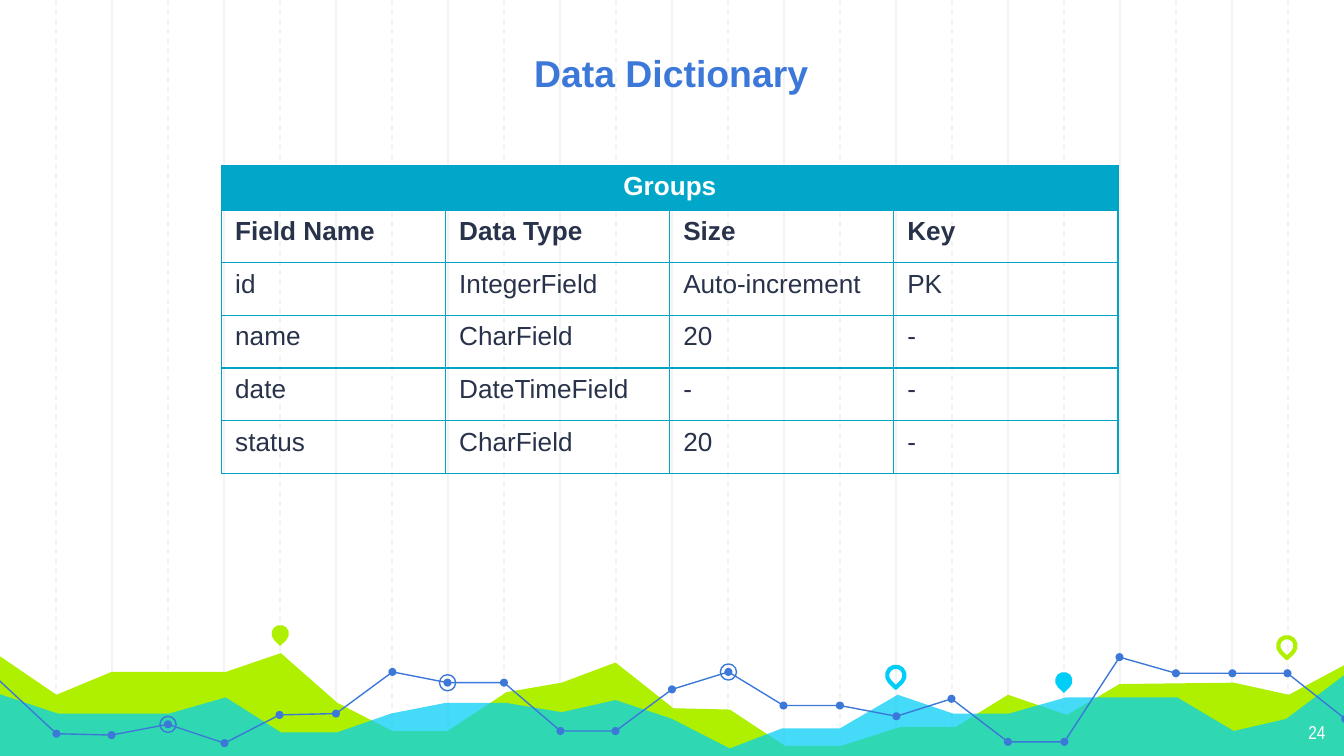
from lxml import etree
from pptx import Presentation, util as u
from pptx.dml.color import RGBColor
from pptx.enum import dml, shapes, text
from pptx.oxml import ns

COLORS = {"grid": "F3F3F3", "lime": "AFF000", "cyan": "00CEF6", "blue": "3C78D8",
          "border": "00A3C3", "header": "00A7C8", "ink": "28324A", "white": "FFFFFF"}
WIDTH, HEIGHT = 10, 5.625
GRID_STEPS, GRID_BOTTOM = 24, 5.64

TITLE = "Data Dictionary"
PAGE_NUMBER = "24"
TABLE_TITLE = "Groups"
FIELDS = [
    ("Field Name", "Data Type", "Size", "Key"),
    ("id", "IntegerField", "Auto-increment", "PK"),
    ("name", "CharField", "20", "-"),
    ("date", "DateTimeField", "-", "-"),
    ("status", "CharField", "20", "-"),
]
TABLE_LEFT, TABLE_TOP, COLUMN_WIDTH = 1.65, 1.23, 1.667
HEADER_HEIGHT, ROW_HEIGHT = 0.32, 0.392

LIME_AREA = [
    (-0.02, 4.87), (0.42, 5.17), (0.83, 5), (1.68, 5), (2.09, 4.86), (2.51, 5.23),
    (2.92, 5.44), (3.33, 5.44), (3.77, 5.15), (4.18, 5.08), (4.58, 4.93), (5.01, 5.27),
    (5.43, 5.28), (5.84, 5.55), (6.26, 5.55), (6.7, 5.41), (7.11, 5.41), (7.5, 5.17),
    (7.94, 5.32), (8.33, 5.09), (9.18, 5.08), (9.59, 5.17), (10.02, 4.94),
    (10.01, 5.64), (-0.03, 5.64)]
CYAN_AREA = [
    (-0.02, 5.16), (0.43, 5.31), (1.26, 5.31), (1.68, 5.19), (2.09, 5.45), (2.51, 5.45),
    (2.91, 5.31), (3.32, 5.23), (3.76, 5.23), (4.18, 5.3), (4.58, 5.21), (5, 5.35),
    (5.43, 5.57), (5.82, 5.42), (6.25, 5.42), (6.68, 5.17), (7.09, 5.31), (7.51, 5.31),
    (7.93, 5.19), (8.76, 5.19), (9.18, 5.44), (9.57, 5.35), (10.02, 5.01),
    (10.02, 5.64), (-0.03, 5.64)]
TREND = [
    (-0.01, 5.06), (0.42, 5.46), (0.83, 5.47), (1.25, 5.39), (1.67, 5.53), (2.08, 5.32),
    (2.5, 5.31), (2.92, 5), (3.33, 5.08), (3.75, 5.08), (4.17, 5.44), (4.58, 5.44),
    (5, 5.13), (5.42, 5), (5.83, 5.25), (6.25, 5.25), (6.67, 5.33), (7.08, 5.2),
    (7.5, 5.52), (7.92, 5.52), (8.33, 4.89), (8.75, 5.01), (9.17, 5.01), (9.58, 5.01),
    (10.01, 5.35)]
TREND_BREAKS = [0, 11, 20, 24]
RINGED_POINTS = [3, 8, 13]
DOT_SIZE, RING_SIZE, PIN_SIZE = 0.06, 0.12, 0.13
PINS = [(2.02, 4.65, "lime", True), (6.6, 4.96, "cyan", False),
        (7.85, 5, "cyan", True), (9.51, 4.74, "lime", False)]


def cm(inches):
    return u.Cm(inches * 2.54)


def rgb(name):
    return RGBColor.from_string(COLORS[name])


def paint(shape, fill=None, line=None, weight=0.75):
    shape.shadow.inherit = False
    if fill:
        shape.fill.solid()
        shape.fill.fore_color.rgb = rgb(fill)
    else:
        shape.fill.background()
    if line:
        shape.line.color.rgb = rgb(line)
        shape.line.width = u.Pt(weight)
    else:
        shape.line.fill.background()
    return shape


def add_grid_line(slide, step):
    x = cm(WIDTH * step / GRID_STEPS)
    line = slide.shapes.add_connector(shapes.MSO_CONNECTOR.STRAIGHT, x, 0, x, cm(GRID_BOTTOM))
    line.line.color.rgb = rgb("grid")
    line.line.width = u.Pt(0.75)
    if step % 2:
        line.line.dash_style = dml.MSO_LINE.DASH
    etree.SubElement(line._element.spPr, ns.qn("a:effectLst"))


def add_path(slide, points, close):
    start, *rest = [(cm(x), cm(y)) for x, y in points]
    builder = slide.shapes.build_freeform(*start)
    builder.add_line_segments(rest, close=close)
    return builder.convert_to_shape()


def add_circle(slide, center, size):
    left, top = (cm(value - size / 2) for value in center)
    return slide.shapes.add_shape(shapes.MSO_SHAPE.OVAL, left, top, cm(size), cm(size))


def add_pin(slide, left, top, color, solid):
    pin = slide.shapes.add_shape(shapes.MSO_SHAPE.TEAR, cm(left), cm(top), cm(PIN_SIZE), cm(PIN_SIZE))
    pin.rotation = 135
    if solid:
        paint(pin, fill=color)
    else:
        paint(pin, line=color, weight=2.25)


def format_text(frame, size, color, font="Arial", bold=False, align=text.PP_ALIGN.LEFT):
    for paragraph in frame.paragraphs:
        paragraph.alignment = align
        for run in paragraph.runs:
            run.font.size = u.Pt(size)
            run.font.name = font
            run.font.bold = bold
            run.font.color.rgb = rgb(color)


def add_text(slide, box, content, anchor, **style):
    frame = slide.shapes.add_textbox(*map(cm, box)).text_frame
    frame.text = content
    frame.word_wrap = True
    frame.vertical_anchor = anchor
    frame.margin_left = frame.margin_right = frame.margin_top = frame.margin_bottom = cm(0.1)
    format_text(frame, **style)


def add_borders(cell):
    properties = cell._tc.get_or_add_tcPr()
    for index, side in enumerate(("a:lnL", "a:lnR", "a:lnT", "a:lnB")):
        line = etree.Element(ns.qn(side), w=str(u.Pt(0.75)))
        fill = etree.SubElement(line, ns.qn("a:solidFill"))
        etree.SubElement(fill, ns.qn("a:srgbClr"), val=COLORS["border"])
        properties.insert(index, line)


def add_field_table(slide):
    columns, rows = len(FIELDS[0]), len(FIELDS) + 1
    height = HEADER_HEIGHT + ROW_HEIGHT * len(FIELDS)
    table = slide.shapes.add_table(rows, columns, cm(TABLE_LEFT), cm(TABLE_TOP),
                                   cm(COLUMN_WIDTH * columns), cm(height)).table
    table.first_row = table.horz_banding = False
    for column in table.columns:
        column.width = cm(COLUMN_WIDTH)
    for index, row in enumerate(table.rows):
        row.height = cm(ROW_HEIGHT if index else HEADER_HEIGHT)
        for cell in row.cells:
            cell.fill.background()
            add_borders(cell)
    heading = table.cell(0, 0)
    heading.merge(table.cell(0, columns - 1))
    heading.fill.solid()
    heading.fill.fore_color.rgb = rgb("header")
    heading.text_frame.text = TABLE_TITLE
    format_text(heading.text_frame, 14, "white", bold=True, align=text.PP_ALIGN.CENTER)
    for row_index, values in enumerate(FIELDS, 1):
        for column_index, value in enumerate(values):
            frame = table.cell(row_index, column_index).text_frame
            frame.text = value
            format_text(frame, 14, "ink", bold=row_index == 1)


def main():
    presentation = Presentation()
    presentation.slide_width, presentation.slide_height = cm(WIDTH), cm(HEIGHT)
    slide = presentation.slides.add_slide(presentation.slide_layouts[6])

    for first in (2, 1):
        for step in range(first, GRID_STEPS, 2):
            add_grid_line(slide, step)

    paint(add_path(slide, LIME_AREA, True), fill="lime")
    cyan_area = paint(add_path(slide, CYAN_AREA, True), fill="cyan")
    cyan_color = cyan_area._element.spPr.find(ns.qn("a:solidFill"))[0]
    etree.SubElement(cyan_color, ns.qn("a:alpha"), val="73000")

    for pin in PINS:
        add_pin(slide, *pin)
    for start, end in zip(TREND_BREAKS, TREND_BREAKS[1:]):
        paint(add_path(slide, TREND[start:end + 1], False), line="blue")
    for point in TREND[1:]:
        paint(add_circle(slide, point, DOT_SIZE), fill="blue")
    for index in RINGED_POINTS:
        paint(add_circle(slide, TREND[index], RING_SIZE), line="blue")

    add_text(slide, (9.36, 5.28, 0.6, 0.35), PAGE_NUMBER, text.MSO_ANCHOR.TOP,
             size=10, color="white", font="Arial Narrow", align=text.PP_ALIGN.RIGHT)
    add_field_table(slide)
    add_text(slide, (1.17, 0.36, 7.65, 0.45), TITLE, text.MSO_ANCHOR.BOTTOM,
             size=20, color="blue", bold=True, align=text.PP_ALIGN.CENTER)
    presentation.save("out.pptx")


if __name__ == "__main__":
    main()
